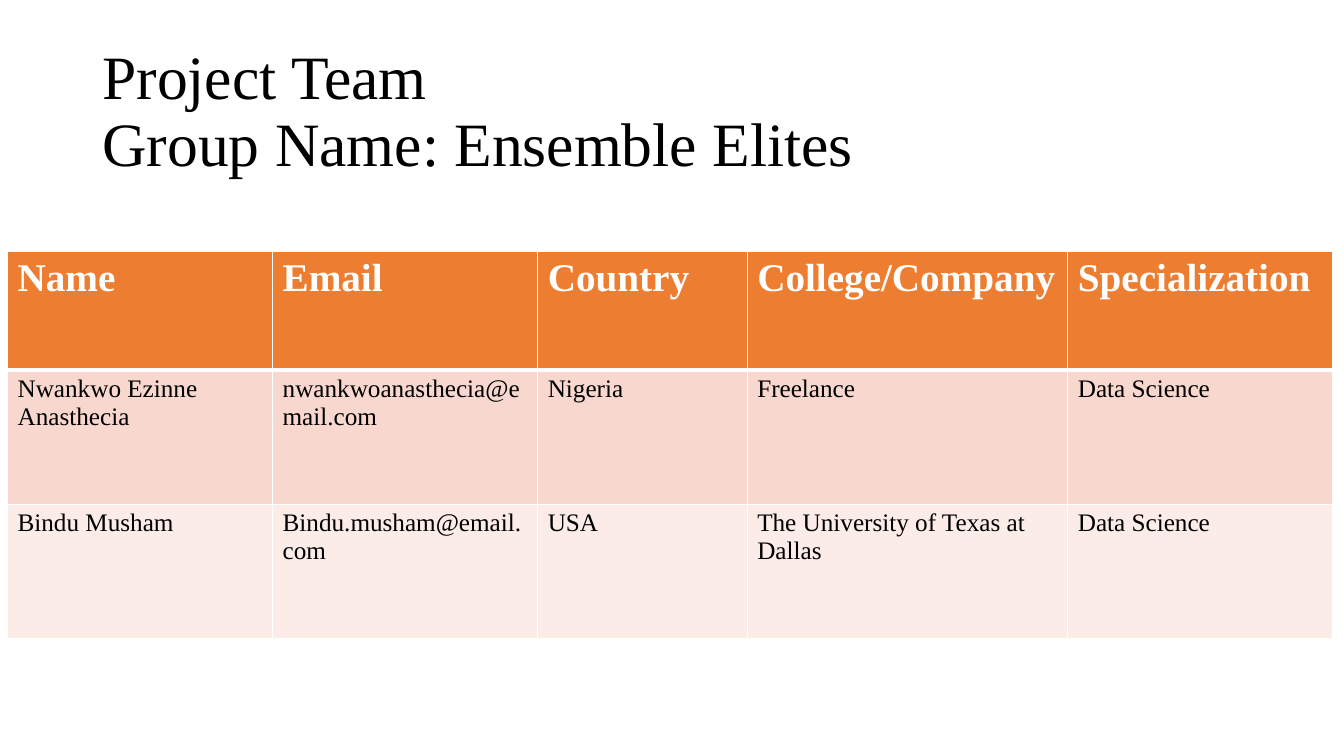
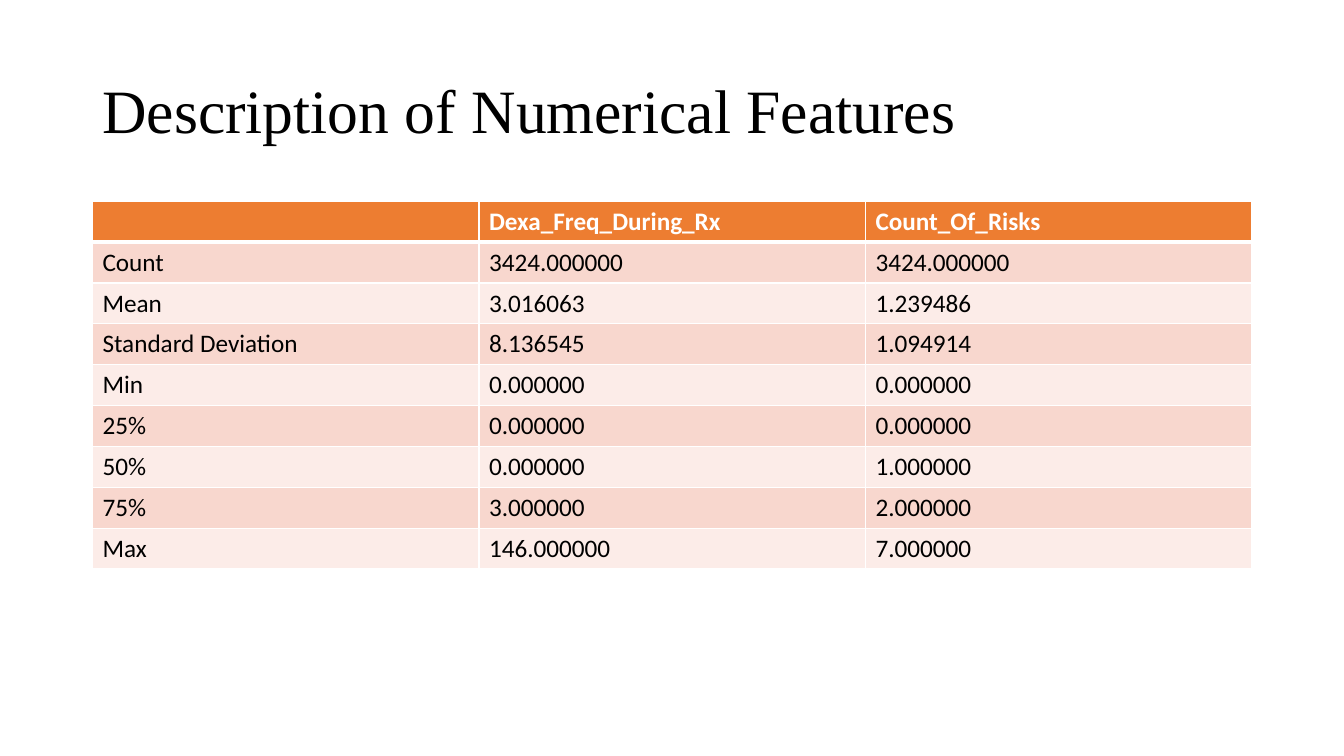
from dataclasses import dataclass

from lxml.etree import SubElement
from pptx import Presentation
from pptx.dml.color import RGBColor as Color
from pptx.enum.text import MSO_VERTICAL_ANCHOR as Anchor
from pptx.oxml.ns import qn
from pptx.util import Cm, Pt


@dataclass(frozen=True)
class Theme:
    """Colours, fonts and type sizes shared by the slides."""
    ink: str = "000000"
    paper: str = "FFFFFF"
    header: str = "ED7D31"
    bands: tuple = ("F8D7CE", "FCECE8")
    serif: str = "Times New Roman"
    sans: str = "Calibri"
    title: int = 44
    heading: int = 28
    body: int = 18
    thin: int = 1
    thick: int = 3


theme = Theme()


def write(frame, text, *, size=theme.body, font=theme.serif, color=theme.ink,
          bold=False, spacing=None):
    """Fill a text frame, one paragraph per line; a vertical tab breaks a line."""
    for index, line in enumerate(text.split("\n")):
        para = frame.add_paragraph() if index else frame.paragraphs[0]
        para.text = line
        para.line_spacing = spacing
        for span in para.runs:
            span.font.size = Pt(size)
            span.font.name = font
            span.font.bold = bold
            span.font.color.rgb = Color.from_string(color)


def add_grid(slide, rows, left, top, widths, heights, font, heading_size):
    """Add a table with a coloured header, banded rows and white rules."""
    frame = slide.shapes.add_table(len(rows), len(widths), Cm(left), Cm(top),
                                   Cm(sum(widths)), Cm(sum(heights)))
    table = frame.table
    for column, width in zip(table.columns, widths):
        column.width = Cm(width)
    for number, (values, height) in enumerate(zip(rows, heights)):
        table.rows[number].height = Cm(height)
        is_header = number == 0
        fill = theme.header if is_header else theme.bands[(number - 1) % 2]
        rules = {"lnL": theme.thin, "lnR": theme.thin,
                 "lnT": theme.thick if number == 1 else theme.thin,
                 "lnB": theme.thick if is_header else theme.thin}
        for position, value in enumerate(values):
            cell = table.cell(number, position)
            properties = cell._tc.get_or_add_tcPr()
            for side, weight in rules.items():
                rule = SubElement(properties, qn(f"a:{side}"), w=str(Pt(weight)))
                paint = SubElement(rule, qn("a:solidFill"))
                SubElement(paint, qn("a:srgbClr"), val=theme.paper)
            cell.fill.solid()
            cell.fill.fore_color.rgb = Color.from_string(fill)
            write(cell.text_frame, value, font=font, bold=is_header,
                  size=heading_size if is_header else theme.body,
                  color=theme.paper if is_header else theme.ink)


team = [
    ("Name", "Email", "Country", "College/Company", "Specialization"),
    ("Nwankwo Ezinne\nAnasthecia", "nwankwoanasthecia@email.com", "Nigeria",
     "Freelance", "Data Science"),
    ("Bindu Musham", "Bindu.musham@email.com", "USA",
     "The University of Texas at Dallas", "Data Science"),
]
statistics = [
    ("", "Dexa_Freq_During_Rx", "Count_Of_Risks"),
    ("Count", "3424.000000", "3424.000000"),
    ("Mean", "3.016063", "1.239486"),
    ("Standard Deviation", "8.136545", "1.094914"),
    ("Min", "0.000000", "0.000000"),
    ("25%", "0.000000", "0.000000"),
    ("50%", "0.000000", "1.000000"),
    ("75%", "3.000000", "2.000000"),
    ("Max", "146.000000", "7.000000"),
]
pages = [
    ("Project Team\vGroup Name: Ensemble Elites",
     dict(rows=team, left=0.19, top=6.33, widths=[6.68, 6.68, 5.28, 8.08, 6.68],
          heights=[3, 3.38, 3.38], font=theme.serif, heading_size=theme.heading)),
    ("Description of Numerical Features",
     dict(rows=statistics, left=2.33, top=5.07, widths=[9.74] * 3,
          heights=[1.03] * len(statistics), font=theme.sans,
          heading_size=theme.body)),
]

deck = Presentation()
deck.slide_width, deck.slide_height = Cm(33.87), Cm(19.05)
blank = deck.slide_layouts[6]

for title, grid in pages:
    page = deck.slides.add_slide(blank)
    box = page.shapes.add_textbox(Cm(2.33), Cm(1.01), Cm(29.21), Cm(3.68))
    box.text_frame.word_wrap = True
    box.text_frame.vertical_anchor = Anchor.MIDDLE
    write(box.text_frame, title, size=theme.title, spacing=0.9)
    add_grid(page, **grid)

deck.save("out.pptx")
